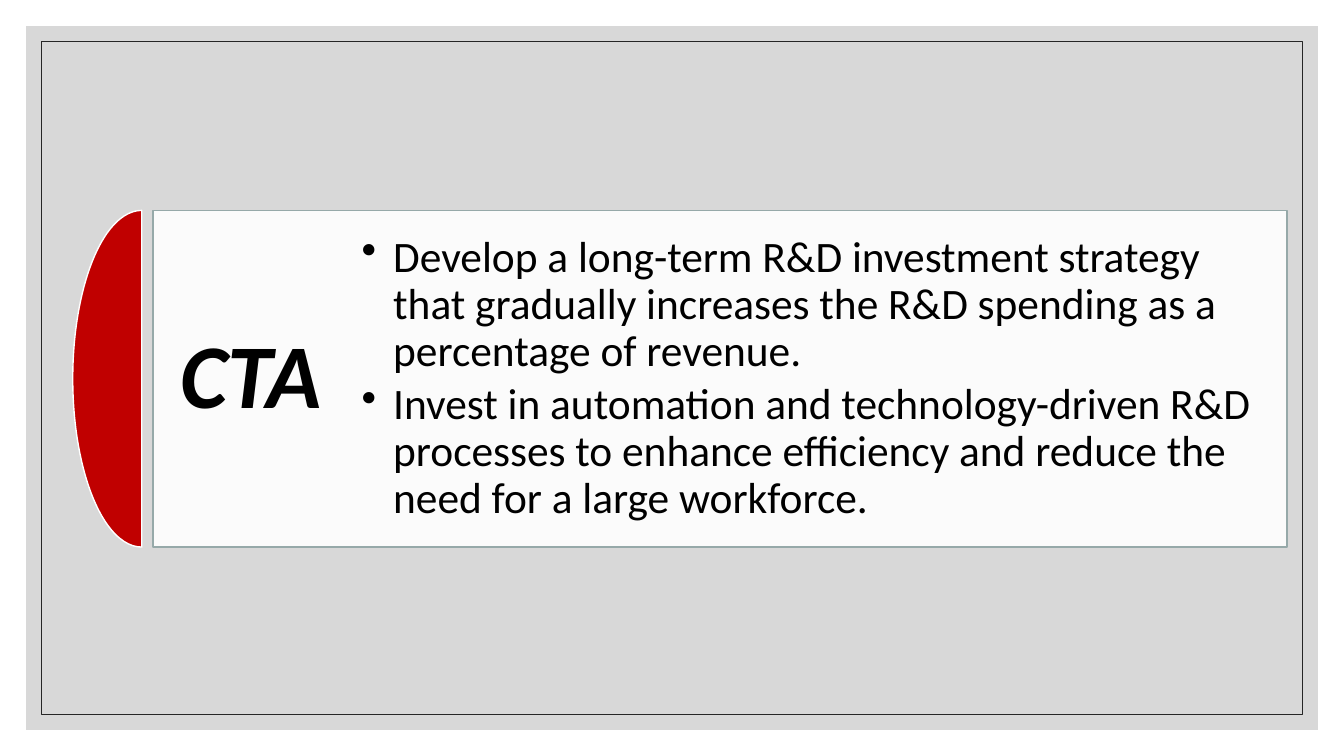
import pptx
import pptx.dml.color
import pptx.enum.shapes
import pptx.enum.text
import pptx.util
from lxml import etree

Pt = pptx.util.Pt
Kind = pptx.enum.shapes.MSO_SHAPE

# Content
HEADING = "CTA"
ACTIONS = [
    "Develop a long-term R&D investment strategy that gradually increases "
    "the R&D spending as a percentage of revenue.",
    "Invest in automation and technology-driven R&D processes to enhance "
    "efficiency and reduce the need for a large workforce.",
]

THEME = {
    "font": "Calibri", "heading_size": 65, "action_size": 31, "line_spacing": 0.9,
    "text": "000000", "backdrop": "BFBFBF", "frame": "262626",
    "accent": "C00000", "panel": "FFFFFF", "panel_line": "96A9A9",
}

# Layout in points
WIDTH, HEIGHT = 960, 540
BACKDROP_MARGIN, FRAME_MARGIN = 18.7, 29.4
BAND_TOP, BAND_HEIGHT = 150.3, 240.5
PANEL_LEFT, PANEL_WIDTH = 109.2, 810
PIE_LEFT, PIE_WIDTH = 52, 98.6
ACTIONS_LEFT, ACTIONS_WIDTH = 249.1, 673.9
HANGING_INDENT = 22.5


def color(name):
    return pptx.dml.color.RGBColor.from_string(THEME[name])


def inset(margin):
    return margin, margin, WIDTH - 2 * margin, HEIGHT - 2 * margin


def add_shape(page, kind, place, fill=None, opacity=100, line=None, line_width=1):
    shape = page.shapes.add_shape(kind, *map(Pt, place))
    shape.shadow.inherit = False
    if fill:
        shape.fill.solid()
        shape.fill.fore_color.rgb = color(fill)
        if opacity < 100:
            tone = shape.fill._xPr.find(".//" + pptx.oxml.ns.qn("a:srgbClr"))
            alpha = etree.SubElement(tone, pptx.oxml.ns.qn("a:alpha"))
            alpha.set("val", str(opacity * 1000))
    else:
        shape.fill.background()
    if line:
        shape.line.color.rgb = color(line)
        shape.line.width = Pt(line_width)
    else:
        shape.line.fill.background()
    return shape


def add_text(page, place, lines, size, margin, emphasis=False, bullets=False):
    box = page.shapes.add_textbox(*map(Pt, place))
    frame = box.text_frame
    frame.word_wrap = True
    frame.vertical_anchor = pptx.enum.text.MSO_ANCHOR.MIDDLE
    frame.margin_left = frame.margin_right = Pt(margin)
    frame.margin_top = frame.margin_bottom = Pt(margin)
    for index, line in enumerate(lines):
        para = frame.add_paragraph() if index else frame.paragraphs[0]
        para.text = line
        para.line_spacing = THEME["line_spacing"]
        if bullets:
            para.space_after = Pt(round(0.15 * size, 1))
            properties = para._p.get_or_add_pPr()
            properties.set("marL", str(Pt(HANGING_INDENT)))
            properties.set("indent", str(-Pt(HANGING_INDENT)))
            bullet = etree.SubElement(properties, pptx.oxml.ns.qn("a:buChar"))
            bullet.set("char", "•")
        para.font.name = THEME["font"]
        para.font.size = Pt(size)
        para.font.color.rgb = color("text")
        para.font.bold = para.font.italic = emphasis


def main():
    deck = pptx.Presentation()
    deck.slide_width, deck.slide_height = Pt(WIDTH), Pt(HEIGHT)
    page = deck.slides.add_slide(deck.slide_layouts[6])

    # Backdrop and thin frame
    add_shape(page, Kind.RECTANGLE, inset(BACKDROP_MARGIN), "backdrop", opacity=60)
    add_shape(page, Kind.RECTANGLE, inset(FRAME_MARGIN), line="frame", line_width=0.5)

    # Red half ellipse: angles of 90 and 270 degrees
    pie = add_shape(page, Kind.PIE, (PIE_LEFT, BAND_TOP, PIE_WIDTH, BAND_HEIGHT),
                    "accent", line="panel")
    pie.adjustments[0], pie.adjustments[1] = 54, 162

    # Panel with heading and actions
    add_shape(page, Kind.RECTANGLE, (PANEL_LEFT, BAND_TOP, PANEL_WIDTH, BAND_HEIGHT),
              "panel", opacity=90, line="panel_line")
    add_text(page, (PANEL_LEFT, BAND_TOP, PANEL_WIDTH / 2, BAND_HEIGHT),
             [HEADING], THEME["heading_size"], margin=19.5, emphasis=True)
    add_text(page, (ACTIONS_LEFT, BAND_TOP, ACTIONS_WIDTH, BAND_HEIGHT),
             ACTIONS, THEME["action_size"], margin=9.3, bullets=True)

    deck.save("out.pptx")


if __name__ == "__main__":
    main()
